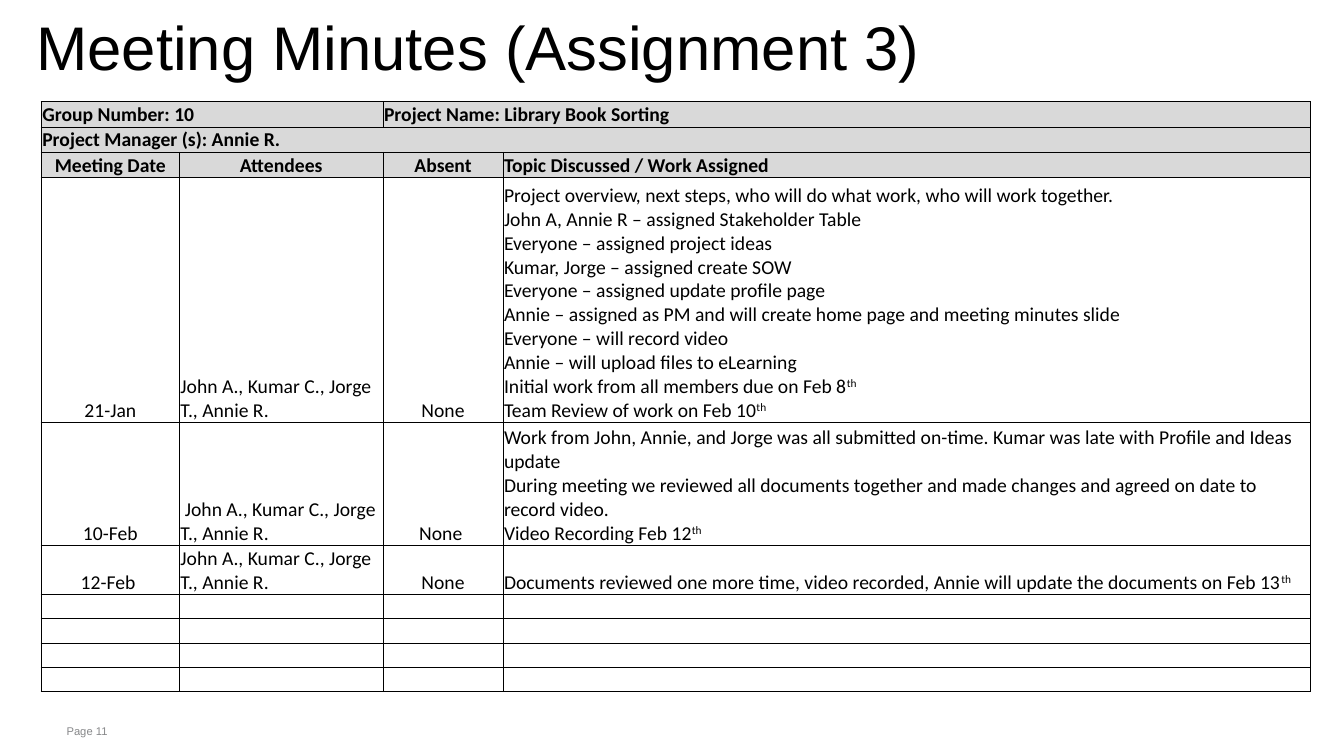
from lxml.etree import SubElement
from pptx import Presentation
from pptx.dml.color import RGBColor
from pptx.enum.text import MSO_ANCHOR as Anchor, PP_ALIGN as Align
from pptx.oxml.ns import qn
from pptx.util import Inches, Pt

BLACK = RGBColor(0x00, 0x00, 0x00)
HEADER_GRAY = RGBColor(0xD9, 0xD9, 0xD9)
FOOTER_GRAY = RGBColor(0x87, 0x88, 0x8A)

TITLE = "Meeting Minutes (Assignment 3)"
FOOTER = "Page 11"
GROUP = "Group Number: 10"
PROJECT = "Project Name: Library Book Sorting"
MANAGER = "Project Manager (s): Annie R."
HEADINGS = ["Meeting Date", "Attendees", "Absent", "Topic Discussed / Work Assigned"]
MEETINGS = [
    ["21-Jan", "John A., Kumar C., Jorge T., Annie R.", "None", [
        "Project overview, next steps, who will do what work, who will work together.",
        "John A, Annie R – assigned Stakeholder Table",
        "Everyone – assigned project ideas",
        "Kumar, Jorge – assigned create SOW",
        "Everyone – assigned update profile page",
        "Annie – assigned as PM and will create home page and meeting minutes slide",
        "Everyone – will record video",
        "Annie – will upload files to eLearning",
        "Initial work from all members due on Feb 8^th",
        "Team Review of work on Feb 10^th",
    ]],
    ["10-Feb", " John A., Kumar C., Jorge T., Annie R.", "None ", [
        "Work from John, Annie, and Jorge was all submitted on-time. "
        "Kumar was late with Profile and Ideas update",
        "During meeting we reviewed all documents together and made changes "
        "and agreed on date to record video.",
        "Video Recording Feb 12^th",
    ]],
    ["12-Feb ", "John A., Kumar C., Jorge T., Annie R. ", "None", [
        "Documents reviewed one more time, video recorded, "
        "Annie will update the documents on Feb 13^th",
    ]],
]
EMPTY_ROWS = 4
ROWS = [[GROUP, "", PROJECT, ""], [MANAGER, "", "", ""], HEADINGS, *MEETINGS,
        *[[""] * 4 for _ in range(EMPTY_ROWS)]]
HEADER_ROWS = 3
MERGES = [((0, 0), (0, 1)), ((0, 2), (0, 3)), ((1, 0), (1, 3))]
COLUMN_WIDTHS = [1.37, 2.02, 1.19, 8.01]
ROW_HEIGHTS = [0.25] * HEADER_ROWS + [2.43, 1.22, 0.49] + [0.24] * EMPTY_ROWS
TABLE_LEFT, TABLE_TOP = 0.41, 1.01
THIN, THICK = 0.5, 1

TITLE_FORMAT = {"name": "Arial", "size": Pt(44)}
FOOTER_FORMAT = {"name": "Arial", "size": Pt(8)}
BODY_FORMAT = {"name": "Calibri", "size": Pt(14), "bold": False}
HEADER_FORMAT = {**BODY_FORMAT, "bold": True}
CELL_FORMAT = {"vertical_anchor": Anchor.BOTTOM, "margin_left": Inches(0.01),
               "margin_right": Inches(0.01), "margin_top": Inches(0.01), "margin_bottom": 0}


def apply(target, formats):
    for name, value in formats.items():
        setattr(target, name, value)


def write(paragraph, text, formats, color=BLACK):
    for index, part in enumerate(text.split("^")):
        run = paragraph.add_run()
        run.text = part
        apply(run.font, formats)
        run.font.color.rgb = color
        if index:
            run._r.get_or_add_rPr().set("baseline", "30000")


def add_text(slide, box, text, formats, color, frame_format):
    shape = slide.shapes.add_textbox(*map(Inches, box))
    frame = shape.text_frame
    apply(frame, {"word_wrap": True, "margin_left": Inches(0.08),
                  "margin_right": Inches(0.08), **frame_format})
    write(frame.paragraphs[0], text, formats, color)
    return frame.paragraphs[0]


def draw_borders(cell, widths):
    properties = cell._tc.get_or_add_tcPr()
    for side, width in zip("LRTB", widths):
        line = SubElement(properties, qn(f"a:ln{side}"), w=str(Pt(width)))
        SubElement(SubElement(line, qn("a:solidFill")), qn("a:srgbClr"), val=str(BLACK))


def fill_cell(cell, row, column, content):
    is_header = row < HEADER_ROWS
    last_row, last_column = len(ROWS) - 1, len(COLUMN_WIDTHS) - 1
    thick_sides = [column == 0, column == last_column, row in (0, HEADER_ROWS),
                   row in (HEADER_ROWS - 1, last_row)]
    draw_borders(cell, [THICK if thick else THIN for thick in thick_sides])
    apply(cell, CELL_FORMAT)
    if is_header:
        cell.fill.solid()
        cell.fill.fore_color.rgb = HEADER_GRAY
    else:
        cell.fill.background()
    centered = column in (0, 2) or (is_header and column == 1)
    frame = cell.text_frame
    for index, text in enumerate(content if isinstance(content, list) else [content]):
        paragraph = frame.add_paragraph() if index else frame.paragraphs[0]
        paragraph.alignment = Align.CENTER if centered and row >= HEADER_ROWS - 1 else Align.LEFT
        if text:
            write(paragraph, text, HEADER_FORMAT if is_header else BODY_FORMAT)
        else:
            SubElement(paragraph._p, qn("a:endParaRPr"), sz="1200")


def add_minutes(slide):
    table = slide.shapes.add_table(
        len(ROWS), len(COLUMN_WIDTHS), Inches(TABLE_LEFT), Inches(TABLE_TOP),
        Inches(sum(COLUMN_WIDTHS)), Inches(sum(ROW_HEIGHTS))).table
    apply(table, {"first_row": False, "horz_banding": False})
    for column, width in zip(table.columns, COLUMN_WIDTHS):
        column.width = Inches(width)
    for row, height in zip(table.rows, ROW_HEIGHTS):
        row.height = Inches(height)
    for row, contents in enumerate(ROWS):
        for column, content in enumerate(contents):
            fill_cell(table.cell(row, column), row, column, content)
    for start, end in MERGES:
        table.cell(*start).merge(table.cell(*end))


def main():
    presentation = Presentation()
    apply(presentation, {"slide_width": Inches(13.33), "slide_height": Inches(7.5)})
    slide = presentation.slides.add_slide(presentation.slide_layouts[6])
    add_text(slide, (0.58, 7.14, 10.79, 0.24), FOOTER, FOOTER_FORMAT, FOOTER_GRAY, {})
    add_minutes(slide)
    title = add_text(slide, (0.28, 0.26, 9.57, 0.55), TITLE, TITLE_FORMAT, BLACK,
                     {"vertical_anchor": Anchor.MIDDLE, "margin_top": 0, "margin_bottom": 0})
    title.line_spacing = 0.75
    presentation.save("out.pptx")


if __name__ == "__main__":
    main()
